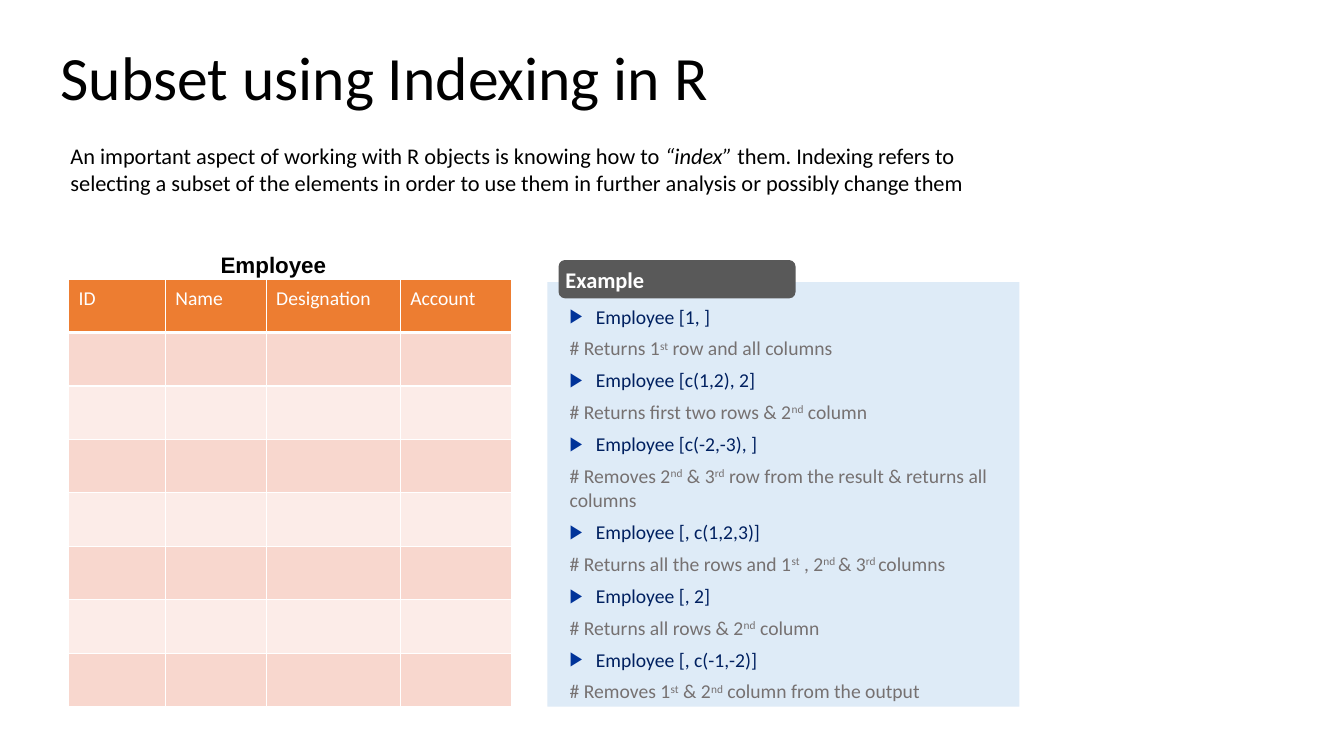
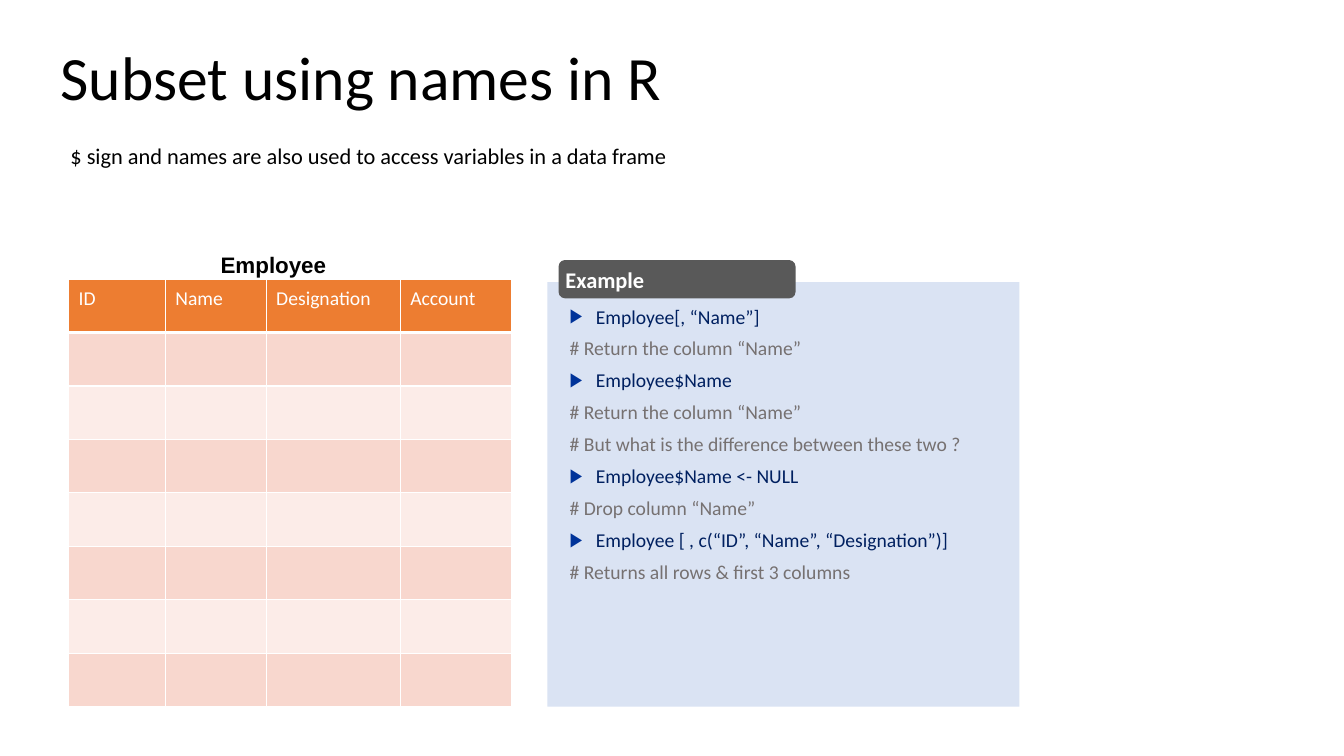
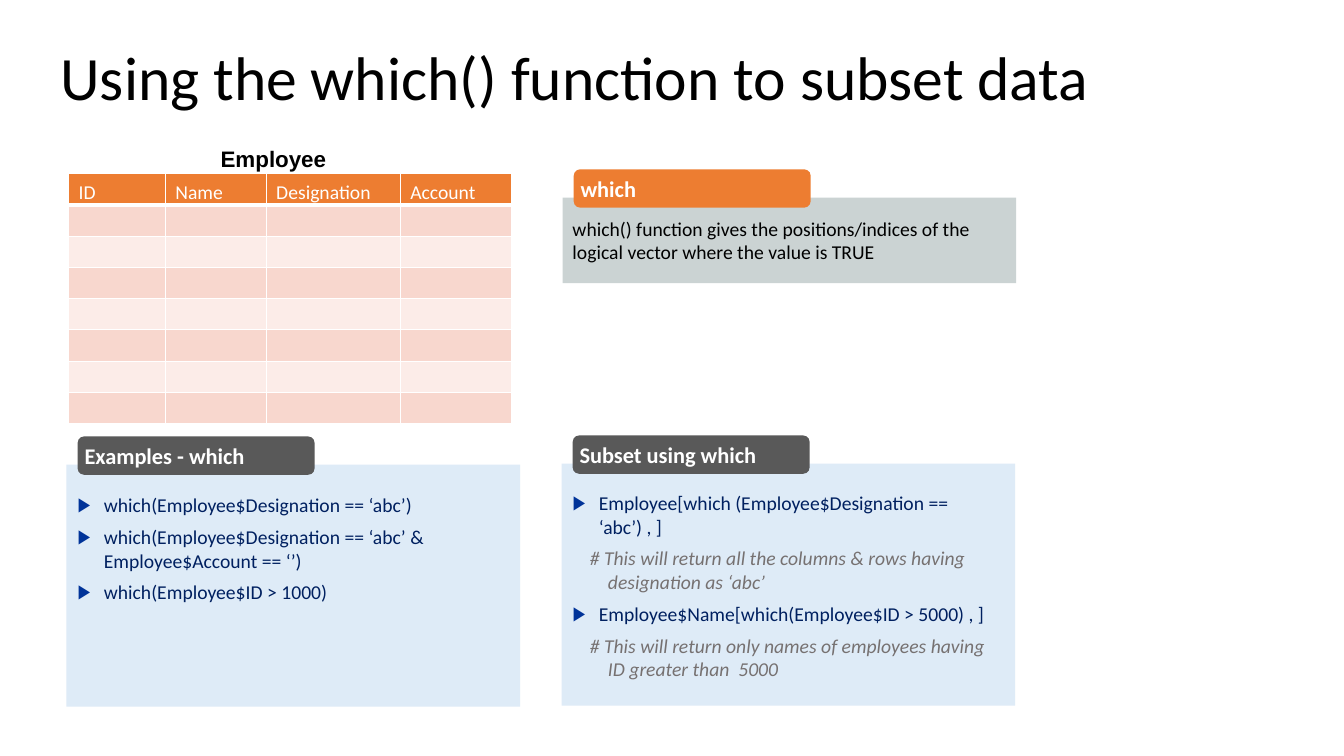
"""Build three slides on subsetting data frames in R."""
from lxml.etree import SubElement
from pptx import Presentation
from pptx.dml.color import RGBColor
from pptx.enum.shapes import MSO_SHAPE
from pptx.enum.text import MSO_ANCHOR, MSO_AUTO_SIZE, PP_ALIGN
from pptx.oxml.ns import qn
from pptx.util import Inches, Pt

COLORS = {
    "white": "FFFFFF", "black": "000000", "orange": "ED7D31",
    "band_dark": "F8D7CE", "band_light": "FCECE8", "tab": "595959",
    "pale_blue": "DEEBF7", "lavender": "DAE3F3", "sage": "CBD3D3",
    "bullet": "003399", "code": "002060", "note": "767171",
}
COLUMNS = [("ID", 0.96), ("Name", 1), ("Designation", 1.33), ("Account", 1.1)]
TABLE_ROWS = 8
SUPERSCRIPT = {"baseline": "30000"}
ITALIC = {"i": "1"}

# kind: left margin, first-line indent, space before, colour, italic
LIST_STYLES = {
    "code": (0.26, -0.26, 6, "code", False),
    "note": (0, 0, 6, "note", False),
    "remark": (0.17, 0, 6, "note", True),
    "remark_end": (0.35, 0, 0, "note", True),
}

INDEX_LIST = [
    ("code", "Employee [1, ]"),
    ("note", "# Returns 1|st| row and all columns"),
    ("code", "Employee [c(1,2), 2]"),
    ("note", "# Returns first two rows & 2|nd| column"),
    ("code", "Employee [c(-2,-3), ]"),
    ("note", "# Removes 2|nd| & 3|rd| row from the result & returns all columns"),
    ("code", "Employee [, c(1,2,3)]"),
    ("note", "# Returns all the rows and 1|st| , 2|nd |& 3|rd |columns"),
    ("code", "Employee [, 2]"),
    ("note", "# Returns all rows & 2|nd| column"),
    ("code", "Employee [, c(-1,-2)]"),
    ("note", "# Removes 1|st| & 2|nd| column from the output"),
]
NAMES_LIST = [
    ("code", "Employee[, “Name”]"),
    ("note", "# Return the column “Name”"),
    ("code", "Employee$Name"),
    ("note", "# Return the column “Name”"),
    ("note", "# But what is the difference between these two ?"),
    ("code", "Employee$Name <- NULL"),
    ("note", "# Drop column “Name”"),
    ("code", "Employee [ , c(“ID”, “Name”, “Designation”)]"),
    ("note", "# Returns all rows & first 3 columns"),
]
WHICH_LIST = [
    ("code", "which(Employee$Designation == ‘abc’)"),
    ("code", "which(Employee$Designation == ‘abc’ & Employee$Account == ‘’)"),
    ("code", "which(Employee$ID > 1000)"),
]
SUBSET_LIST = [
    ("code", "Employee[which (Employee$Designation == ‘abc’) , ]"),
    ("remark", "# This will return all the columns & rows having"),
    ("remark_end", "designation as ‘abc’"),
    ("code", "Employee$Name[which(Employee$ID > 5000) , ]"),
    ("remark", "# This will return only names of employees having"),
    ("remark_end", "ID greater than  5000"),
]


def rgb(name):
    """Look up a named colour."""
    return RGBColor.from_string(COLORS[name])


def place(sp, x, y, w, h):
    """Move and size a shape, in inches."""
    sp.left, sp.top, sp.width, sp.height = (Inches(v) for v in (x, y, w, h))


def style(p, size, color, bold=False, italic=False, font="Calibri"):
    """Format every run of a left-aligned paragraph."""
    p.alignment = PP_ALIGN.LEFT
    for r in p.runs:
        r.font.name, r.font.size = font, Pt(size)
        r.font.bold, r.font.italic = bold, italic
        r.font.color.rgb = rgb(color)


def write(p, text, size, color, accent=SUPERSCRIPT, **options):
    """Write text in which every second part between bars has an accent."""
    parts = text.split("|")
    for part in parts:
        p.add_run().text = part
    style(p, size, color, **options)
    for r in p.runs[1::2]:
        for key, value in accent.items():
            r._r.get_or_add_rPr().set(key, value)


def indent(p, left, first=0):
    """Set the paragraph's left margin and first-line indent."""
    pPr = p._p.get_or_add_pPr()
    pPr.set("marL", str(Inches(left)))
    pPr.set("indent", str(Inches(first)))


def set_bullet(p, shown):
    """Show a blue triangle bullet or none."""
    pPr = p._p.get_or_add_pPr()
    if shown:
        clr = SubElement(pPr, qn("a:buClr"))
        SubElement(clr, qn("a:srgbClr"), val=COLORS["bullet"])
        SubElement(pPr, qn("a:buChar"), char="▶")
    else:
        SubElement(pPr, qn("a:buNone"))


def add_title_slide(prs, layout, title, width=9.83):
    """Add a slide with its formatted title."""
    s = prs.slides.add_slide(prs.slide_layouts.get_by_name(layout))
    place(s.shapes.title, 0.5, 0.42, width, 0.92)
    tf = s.shapes.title.text_frame
    tf.text = title
    tf.auto_size = MSO_AUTO_SIZE.NONE
    tf.vertical_anchor = MSO_ANCHOR.TOP
    tf.paragraphs[0].line_spacing = 0.9
    style(tf.paragraphs[0], 44, "black")
    return s


def add_text(s, x, y, w, h, text, size=16, **options):
    """Add a wrapped text box and return its paragraph."""
    tf = s.shapes.add_textbox(*(Inches(v) for v in (x, y, w, h))).text_frame
    tf.word_wrap = True
    write(tf.paragraphs[0], text, size, "black", **options)
    return tf.paragraphs[0]


def add_block(s, kind, x, y, w, h, fill):
    """Add a flat filled shape without outline."""
    sp = s.shapes.add_shape(kind, *(Inches(v) for v in (x, y, w, h)))
    sp.shadow.inherit = False
    sp.fill.solid()
    sp.fill.fore_color.rgb = rgb(fill)
    sp.line.fill.background()
    return sp


def add_panel(s, x, y, w, h, fill, label, tab_fill="tab", rise=0.28):
    """Add a panel with a labelled tab over its top edge."""
    add_block(s, MSO_SHAPE.RECTANGLE, x, y, w, h, fill)
    tab = add_block(s, MSO_SHAPE.ROUNDED_RECTANGLE,
                    x + 0.11, y - rise, 2.35, 0.38, tab_fill)
    tf = tab.text_frame
    tf.text = label
    tf.vertical_anchor = MSO_ANCHOR.MIDDLE
    tf.margin_left = tf.margin_right = Inches(0.05)
    style(tf.paragraphs[0], 16, "white", bold=True)


def fill_list(s, idx, x, y, w, h, items):
    """Fill a body placeholder with code lines and notes, in front."""
    sp = s.placeholders[idx]
    place(sp, x, y, w, h)
    sp._element.getparent().append(sp._element)
    tf = sp.text_frame
    tf.auto_size = MSO_AUTO_SIZE.NONE
    tf.margin_top = Inches(0.1)
    for i, (kind, text) in enumerate(items):
        left, first, before, color, italic = LIST_STYLES[kind]
        p = tf.add_paragraph() if i else tf.paragraphs[0]
        write(p, text, 14, color, italic=italic)
        p.space_before = Pt(before)
        indent(p, left, first)
        set_bullet(p, kind == "code")


def set_borders(cell, bottom):
    """Draw white lines around a cell."""
    tcPr = cell._tc.get_or_add_tcPr()
    for side, width in zip("LRTB", (1, 1, 1, bottom)):
        ln = SubElement(tcPr, qn(f"a:ln{side}"), w=str(Pt(width)))
        fill = SubElement(ln, qn("a:solidFill"))
        SubElement(fill, qn("a:srgbClr"), val=COLORS["white"])


def format_cell(cell, fill, bottom=1):
    """Set a cell's margins, borders and fill."""
    cell.margin_left, cell.margin_right = Inches(0.1), Inches(0.08)
    cell.margin_top, cell.margin_bottom = Inches(0.06), 0
    set_borders(cell, bottom)
    cell.fill.solid()
    cell.fill.fore_color.rgb = rgb(fill)


def add_employee_table(s, top, row_height):
    """Add the captioned employee table with empty banded rows."""
    width = sum(w for _, w in COLUMNS)
    table = s.shapes.add_table(TABLE_ROWS, len(COLUMNS), Inches(0.68), Inches(top),
                               Inches(width), Inches(row_height * TABLE_ROWS)).table
    table.horz_banding = False
    for row in table.rows:
        row.height = Inches(row_height)
    for c, (name, col_width) in enumerate(COLUMNS):
        table.columns[c].width = Inches(col_width)
        head = table.cell(0, c)
        head.text = name
        format_cell(head, "orange", bottom=3)
        p = head.text_frame.paragraphs[0]
        p.line_spacing = 1.07
        style(p, 14, "white")
        for i in range(1, TABLE_ROWS):
            cell = table.cell(i, c)
            format_cell(cell, "band_dark" if i % 2 else "band_light")
            SubElement(cell.text_frame.paragraphs[0]._p, qn("a:endParaRPr"), sz="1000")
    p = add_text(s, 0.37, top - 0.35, 4.07, 0.38, "Employee", bold=True, font="Arial")
    p.line_spacing = 1.08
    indent(p, 1.73, -0.01)


def add_example_slide(prs, title, intro, intro_height, fill, items):
    """Add a slide with an intro, the table and one example panel."""
    s = add_title_slide(prs, "Title and Content", title)
    add_employee_table(s, 2.77, 0.53)
    add_panel(s, 5.43, 2.8, 4.68, 4.21, fill, "Example", rise=0.22)
    add_text(s, 0.6, 1.36, 9.41, intro_height, intro, accent=ITALIC)
    fill_list(s, 1, 5.55, 2.92, 4.5, 3.29, items)


def add_which_slide(prs):
    """Add the slide on the which() function."""
    s = add_title_slide(prs, "Two Content",
                        "Using the which() function to subset data", 10.98)
    add_employee_table(s, 1.72, 0.31)
    add_panel(s, 5.58, 1.96, 4.5, 0.85, "sage", "which", "orange")
    add_text(s, 5.58, 2.1, 4.5, 0.57, "which() function gives the positions/indices "
             "of the logical vector where the value is TRUE", 14)
    add_panel(s, 0.66, 4.61, 4.5, 2.4, "pale_blue", "Examples - which")
    fill_list(s, 1, 0.67, 4.79, 4.33, 2.02, WHICH_LIST)
    add_panel(s, 5.57, 4.6, 4.5, 2.4, "pale_blue", "Subset using which")
    fill_list(s, 2, 5.58, 4.77, 4.54, 2.02, SUBSET_LIST)


def main():
    """Build and save the presentation."""
    prs = Presentation()
    prs.slide_width, prs.slide_height = Inches(13.33), Inches(7.5)
    add_example_slide(
        prs, "Subset using Indexing in R",
        "An important aspect of working with R objects is knowing how to |“index” |"
        "them. Indexing refers to selecting a subset of the elements in order to "
        "use them in further analysis or possibly change them",
        0.91, "pale_blue", INDEX_LIST)
    add_example_slide(
        prs, "Subset using names in R",
        "$ sign and names are also used to access variables in a data frame",
        0.37, "lavender", NAMES_LIST)
    add_which_slide(prs)
    prs.save("out.pptx")


main()
